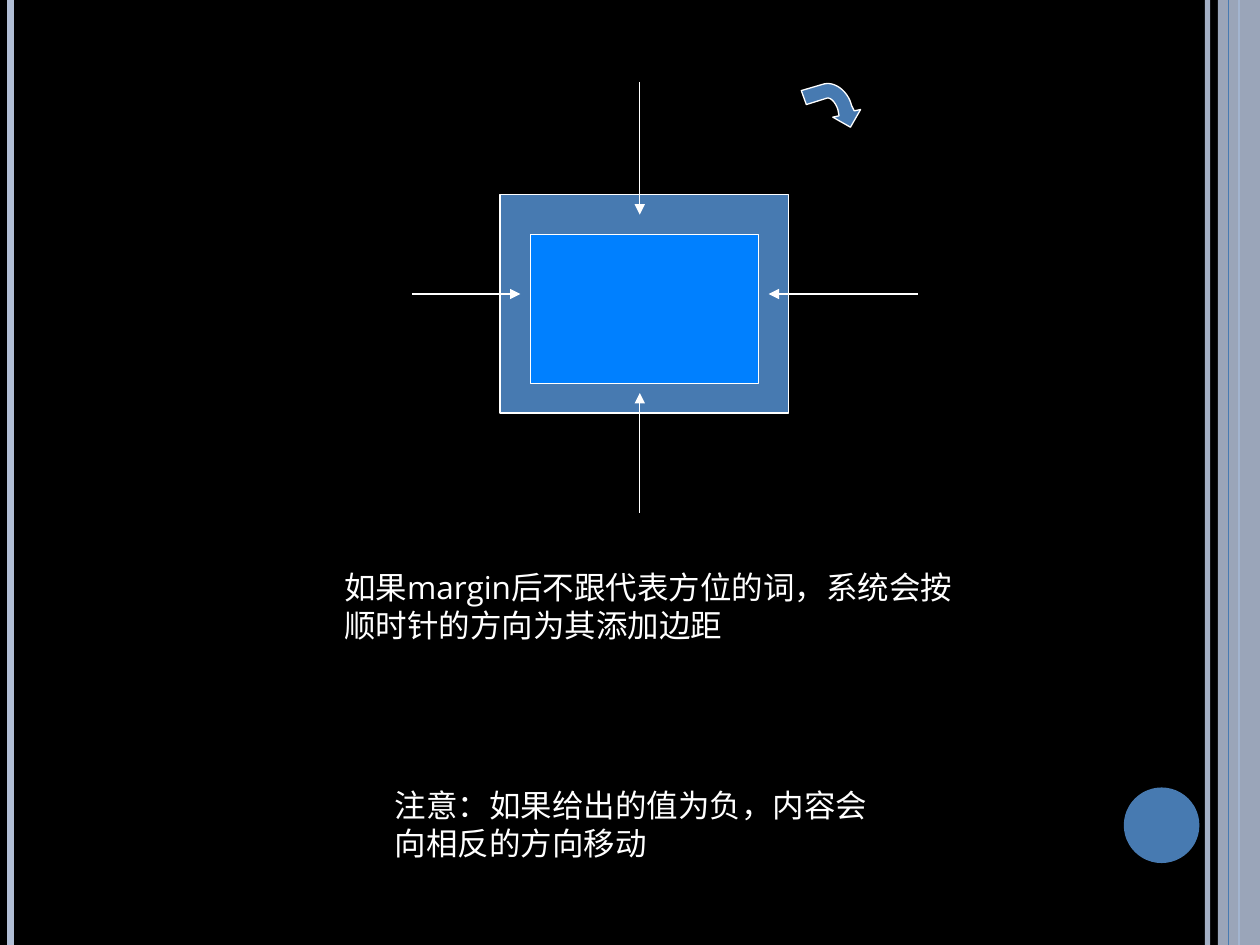
from pptx import Presentation
from pptx.dml.color import RGBColor
from pptx.enum.shapes import MSO_CONNECTOR, MSO_SHAPE
from pptx.enum.text import MSO_AUTO_SIZE
from pptx.oxml.ns import qn
from pptx.util import Pt
from lxml import etree

LINE = MSO_CONNECTOR.STRAIGHT
RECT = MSO_SHAPE.RECTANGLE
OVAL = MSO_SHAPE.OVAL
GROW = MSO_AUTO_SIZE.SHAPE_TO_FIT_TEXT

THEME = {
    "back": RGBColor(0, 0, 0),
    "pale": RGBColor(0xB1, 0xBE, 0xD5),
    "blue": RGBColor(0x47, 0x7A, 0xB1),
    "core": RGBColor(0x00, 0x80, 0xFF),
    "white": RGBColor(0xFF, 0xFF, 0xFF),
    "font": "Open Sans",
    "size": Pt(18),
    "thin": Pt(0.75),
}
WIDE, HIGH = 720, 540

deck = Presentation()
deck.slide_width, deck.slide_height = Pt(WIDE), Pt(HIGH)
slide = deck.slides.add_slide(deck.slide_layouts[6])
slide.background.fill.solid()
slide.background.fill.fore_color.rgb = THEME["back"]
shapes = slide.shapes


def paint(shape, fill, edge=None):
    shape.shadow.inherit = False
    shape.fill.solid()
    shape.fill.fore_color.rgb = THEME[fill]
    if edge:
        shape.line.color.rgb = THEME[edge]
        shape.line.width = THEME["thin"]
    else:
        shape.line.fill.background()


def draw(start, end, color, width):
    line = shapes.add_connector(LINE, *map(Pt, start + end))
    line.line.color.rgb = THEME[color]
    line.line.width = width
    etree.SubElement(line._element.spPr, qn("a:effectLst"))
    return line


# Side stripes, with the band between the lines at the right
bars = [(690, "pale", 3, 93), (6, "pale", 4.5, 100), (708, "blue", 1.5, 100),
        (None, "pale", 24, 87), (702, "blue", 0.75, 100)]
for x, color, width, alpha in bars:
    if x is None:
        bar = shapes.add_shape(RECT, Pt(WIDE - width), 0, Pt(width), Pt(HIGH))
        paint(bar, color)
    else:
        bar = draw((x, 0), (x, HIGH), color, Pt(width))
    if alpha < 100:
        tint = next(bar._element.spPr.iter(qn("a:srgbClr")))
        etree.SubElement(tint, qn("a:alpha"), val=str(alpha * 1000))

# Corner disc and the nested boxes
for kind, box, fill, edge in [
    (OVAL, (642.2, 450, 43.2, 43.2), "blue", None),
    (RECT, (285.8, 111.2, 164.6, 124.8), "blue", "white"),
    (RECT, (303, 134, 130.4, 85), "core", "white"),
]:
    paint(shapes.add_shape(kind, *map(Pt, box)), fill, edge)

# Arrows pointing into the margin
mid_x, mid_y = 365.6, 168
for start, end in [
    ((mid_x, 46.8), (mid_x, 122.6)),
    ((524.4, mid_y), (439.2, mid_y)),
    ((mid_x, 293), (mid_x, 224.6)),
    ((235.4, mid_y), (297.4, mid_y)),
]:
    arrow = draw(start, end, "white", THEME["thin"])
    etree.SubElement(arrow.line._get_or_add_ln(), qn("a:tailEnd"), type="triangle")

# Clockwise arrow: six numbers give a Bezier curve, two give a corner
bend = [(486, 72.7), (491.8, 62.6), (488.2, 63.4), (486.7, 60.5),
        (484.6, 51.8, 476.6, 46.1, 470.2, 48.2), (457.9, 51.8),
        (460.8, 59.8), (472.3, 56.2),
        (474.5, 55.4, 477.4, 58.3, 478.8, 62.6), (479.5, 66.2), (475.9, 67)]
dots, steps = [], 16
for part in bend:
    if len(part) == 2:
        dots.append(part)
        continue
    knots = [dots[-1], part[:2], part[2:4], part[4:]]
    for step in range(1, steps + 1):
        t = step / steps
        mix = ((1 - t) ** 3, 3 * t * (1 - t) ** 2, 3 * t * t * (1 - t), t ** 3)
        dots.append(tuple(sum(m * k[i] for m, k in zip(mix, knots)) for i in (0, 1)))
dots = [(Pt(x), Pt(y)) for x, y in dots]
pen = shapes.build_freeform(*dots[0])
pen.add_line_segments(dots[1:], close=True)
paint(pen.convert_to_shape(), "blue", "white")

# Notes under the diagram
for box, words in [
    ((189.6, 321.2, 373, 50.4), "如果margin后不跟代表方位的词，系统会按顺时针的方向为其添加边距"),
    ((218.4, 445.8, 292.4, 50.4), "注意：如果给出的值为负，内容会向相反的方向移动"),
]:
    frame = shapes.add_textbox(*map(Pt, box)).text_frame
    frame.word_wrap = True
    frame.auto_size = GROW
    para = frame.paragraphs[0]
    para.text = words
    para.font.name = THEME["font"]
    para.font.size = THEME["size"]
    para.font.color.rgb = THEME["white"]

deck.save("out.pptx")
